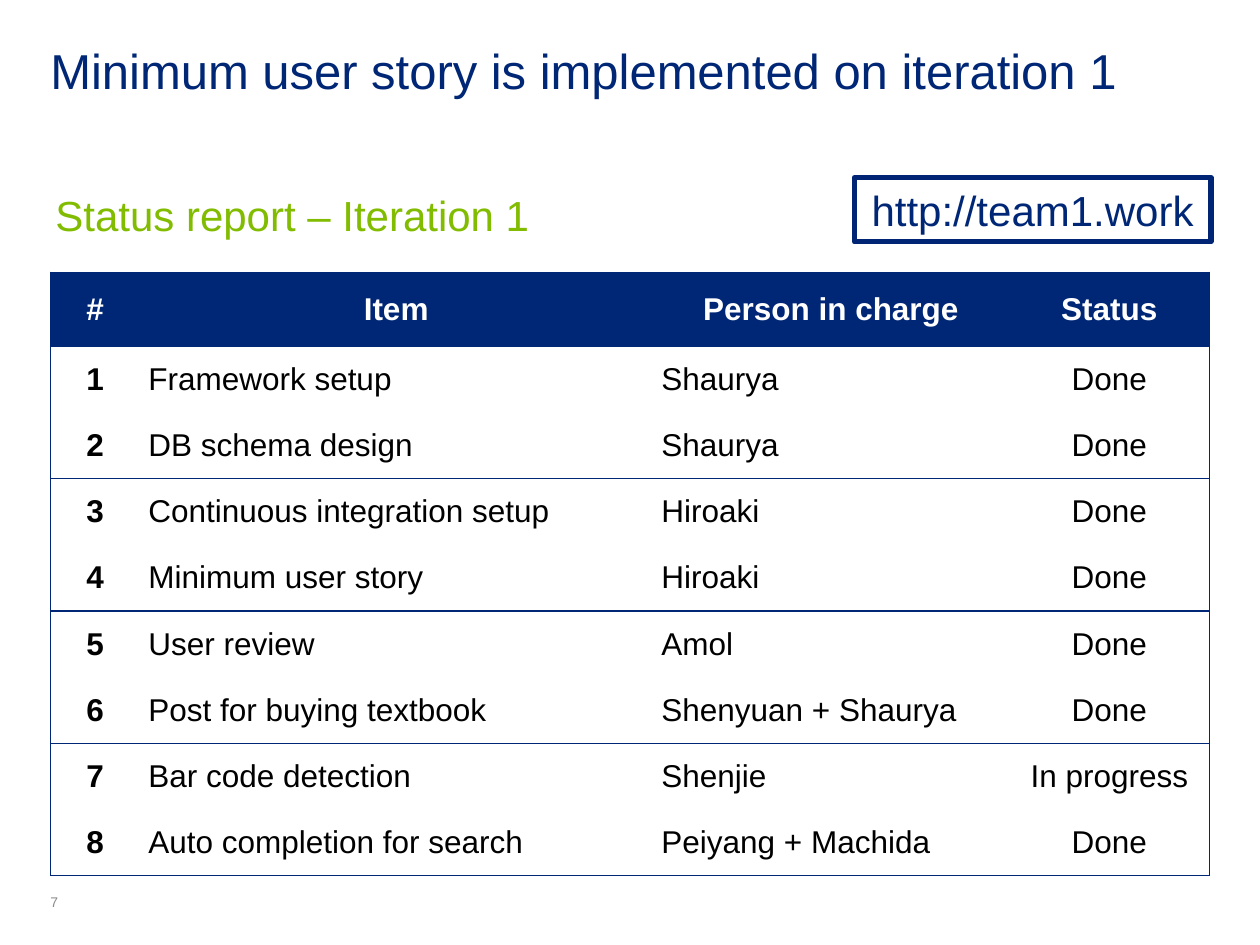
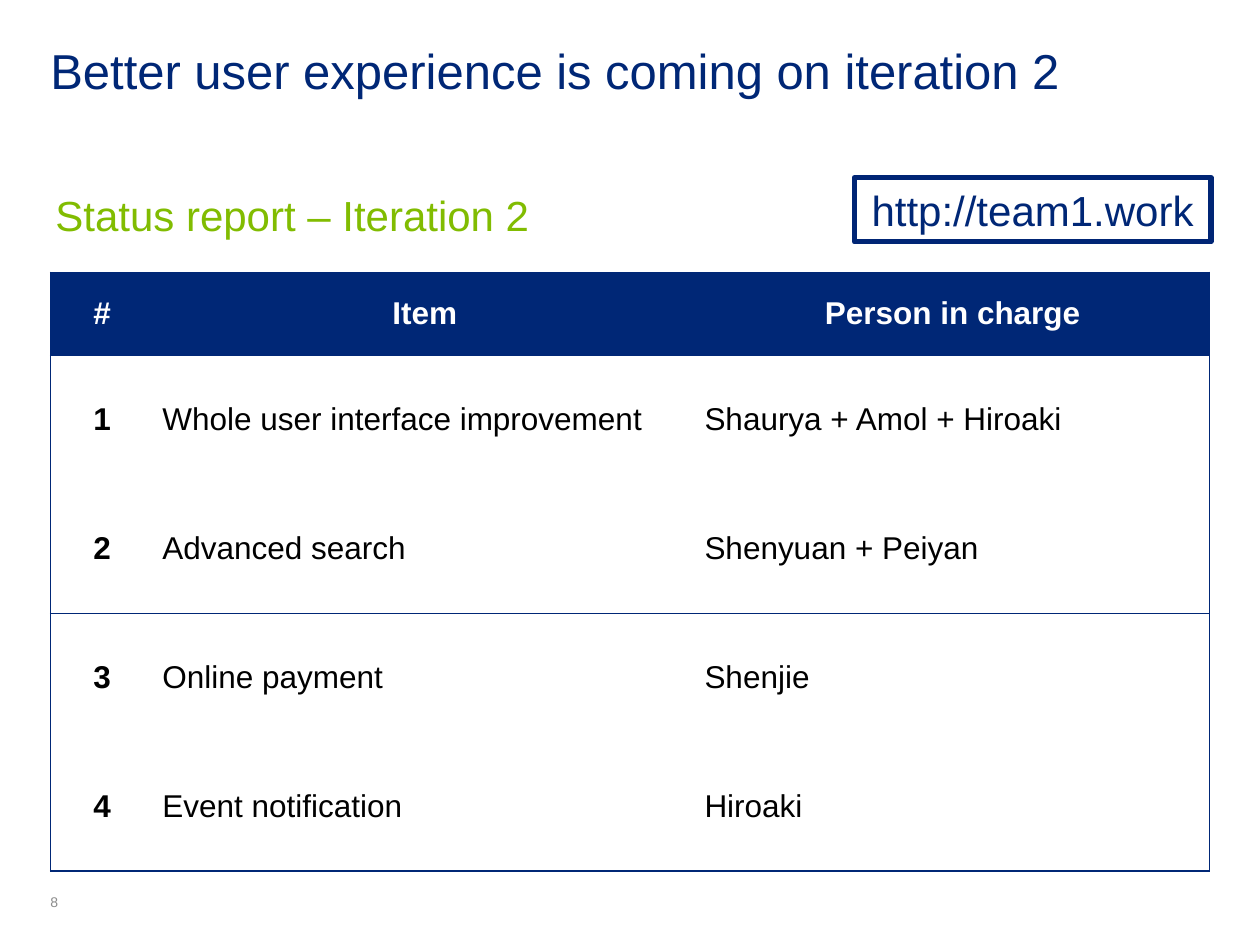
from pptx import Presentation
from pptx.util import Pt
from pptx.dml.color import RGBColor
from pptx.enum.shapes import MSO_SHAPE as Shape
from pptx.enum.text import PP_ALIGN as Align, MSO_ANCHOR as Anchor
from pptx.oxml import parse_xml
from pptx.oxml.ns import nsdecls

NAVY = RGBColor(0x00, 0x27, 0x76)
FRAME = RGBColor(0x00, 0x25, 0x75)
GREEN = RGBColor(0x81, 0xBC, 0x01)
GRAY = RGBColor(0x8C, 0x8C, 0x8C)
BLACK = RGBColor(0, 0, 0)
WHITE = RGBColor(255, 255, 255)

LEFT, WIDTH = 28.8, 662.4


class Deck:
    """Holds the style and the current slide."""
    font = "Arial"

    def __init__(self):
        self.prs = Presentation()
        self.prs.slide_width, self.prs.slide_height = Pt(720), Pt(540)

    def page(self):
        self.slide = self.prs.slides.add_slide(self.prs.slide_layouts[6])

    def style(self, frame, text, size, color, bold=False, align=Align.LEFT):
        frame.text = text
        para = frame.paragraphs[0]
        para.alignment = align
        font = para.runs[0].font
        font.name, font.size, font.bold = self.font, Pt(size), bold
        font.color.rgb = color

    def inset(self, frame, right=0, bottom=0):
        frame.word_wrap = True
        frame.margin_left = frame.margin_top = 0
        frame.margin_right, frame.margin_bottom = Pt(right), Pt(bottom)

    def label(self, box, text, size, color, anchor=Anchor.TOP, **pad):
        frame = self.slide.shapes.add_textbox(*map(Pt, box)).text_frame
        self.inset(frame, **pad)
        frame.vertical_anchor = anchor
        self.style(frame, text, size, color)

    def badge(self, box, text):
        shape = self.slide.shapes.add_shape(Shape.RECTANGLE, *map(Pt, box))
        shape.shadow.inherit = False
        shape.fill.background()
        shape.line.color.rgb, shape.line.width = FRAME, Pt(3)
        frame = shape.text_frame
        self.inset(frame)
        frame.vertical_anchor = Anchor.MIDDLE
        self.style(frame, text, 24, NAVY, align=Align.CENTER)

    def edges(self, cell, shown):
        # Borders come before the fill in the cell properties
        props = cell._tc.get_or_add_tcPr()
        for side in "LRTB":
            paint = (f'<a:solidFill><a:srgbClr val="{NAVY}"/></a:solidFill>'
                     if side in shown else "<a:noFill/>")
            props.append(parse_xml(
                f'<a:ln{side} {nsdecls("a")} w="{Pt(0.75)}">{paint}</a:ln{side}>'))

    def table(self, top, cols, head, body, rows, mid):
        """mid: the columns whose body text is centred."""
        high = head + body * (len(rows) - 1)
        table = self.slide.shapes.add_table(
            len(rows), len(cols), Pt(LEFT), Pt(top), Pt(WIDTH), Pt(high)).table
        table.horz_banding = False
        for col, wide in zip(table.columns, cols):
            col.width = Pt(wide)
        for r, row in enumerate(rows):
            table.rows[r].height = Pt(body if r else head)
            for c, text in enumerate(row):
                cell = table.cell(r, c)
                # Outer frame, and a rule below each pair of rows
                shown = "T" if r % 2 or r == 0 else "B"
                shown += "L" if c == 0 else ""
                shown += "R" if c == len(cols) - 1 else ""
                self.edges(cell, shown)
                if r == 0:
                    cell.fill.solid()
                    cell.fill.fore_color.rgb = NAVY
                else:
                    cell.fill.background()
                cell.margin_left = cell.margin_right = Pt(5)
                cell.margin_top = cell.margin_bottom = 0
                cell.vertical_anchor = Anchor.MIDDLE
                self.style(cell.text_frame, text, 18, BLACK if r else WHITE,
                           bold=r == 0 or c == 0,
                           align=Align.CENTER if r == 0 or c in mid else Align.LEFT)

    def report(self, num, title, sub, cols, head, body, rows, mid):
        self.page()
        self.label((LEFT, 510.5, 36, 9.4), str(num), 8, GRAY, Anchor.BOTTOM)
        self.badge((488.2, 101.5, 203.8, 36.7), "http://team1.work")
        self.label((LEFT, 23, WIDTH, 36.7), title, 28, NAVY)
        self.label((31.7, 108, 648, 25.2), sub, 24, GREEN, right=7.2, bottom=3.6)
        self.table(155.5, cols, head, body, rows, mid)


deck = Deck()

# Iteration 1
done = [
    ("Framework setup", "Shaurya", "Done"),
    ("DB schema design", "Shaurya", "Done"),
    ("Continuous integration setup", "Hiroaki", "Done"),
    ("Minimum user story", "Hiroaki", "Done"),
    ("User review", "Amol", "Done"),
    ("Post for buying textbook", "Shenyuan + Shaurya", "Done"),
    ("Bar code detection", "Shenjie", "In progress"),
    ("Auto completion for search", "Peiyang + Machida", "Done"),
]
# Iteration 2
plan = [
    ("Whole user interface improvement", "Shaurya + Amol + Hiroaki"),
    ("Advanced search", "Shenyuan + Peiyan"),
    ("Online payment", "Shenjie"),
    ("Event notification", "Hiroaki"),
]


def count(names, items):
    """Put the header on top and a number before each item."""
    return [("#", *names)] + [(str(n), *item) for n, item in enumerate(items, 1)]


deck.report(7, "Minimum user story is implemented on iteration 1",
            "Status report – Iteration 1", (51, 293.2, 203.7, 114.5), 42.5, 37.8,
            count(("Item", "Person in charge", "Status"), done), (0, 3))
deck.report(8, "Better user experience is coming on iteration 2",
            "Status report – Iteration 2", (59, 309.8, 293.6), 47.5, 73.7,
            count(("Item", "Person in charge"), plan), (0,))

deck.prs.save("out.pptx")
